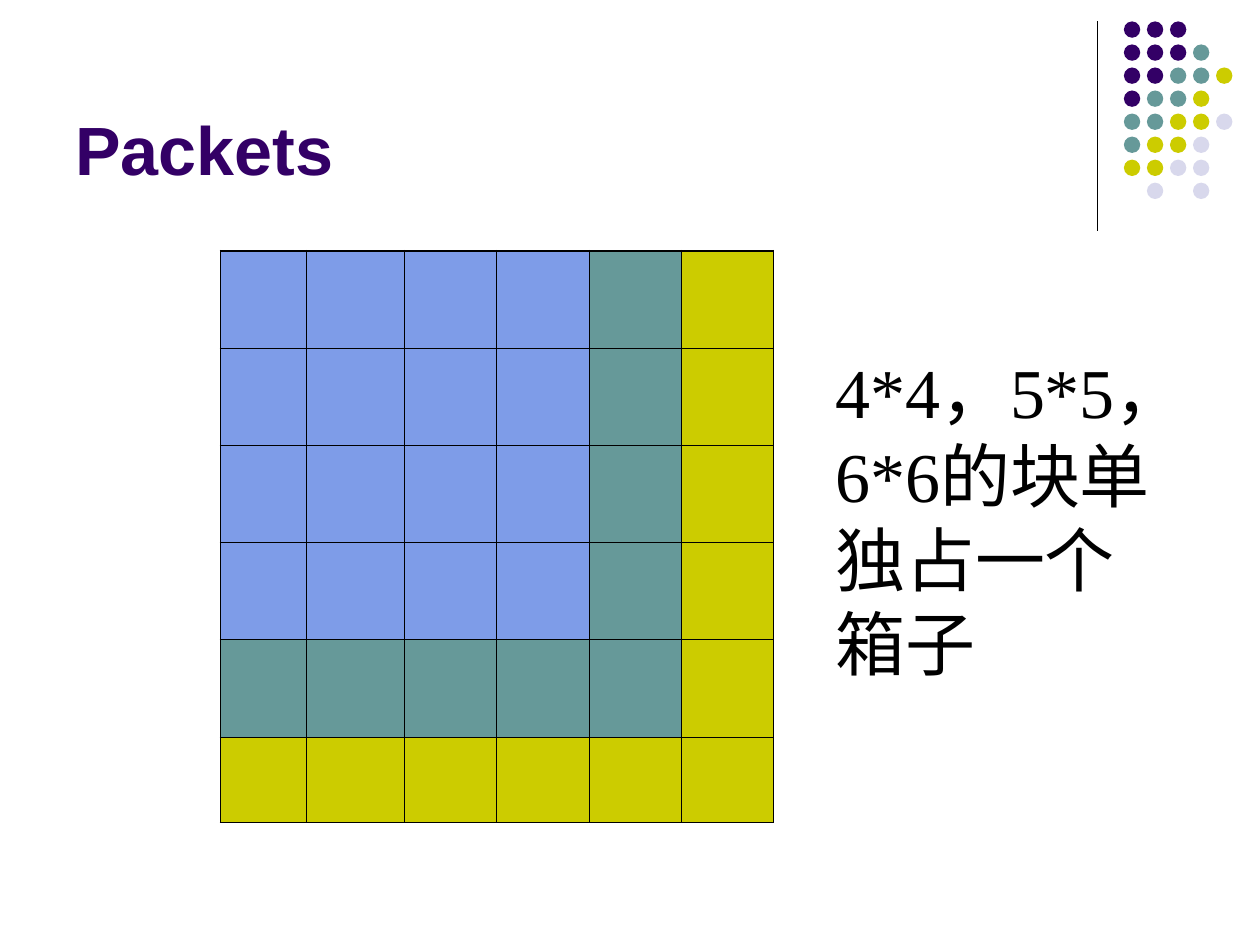
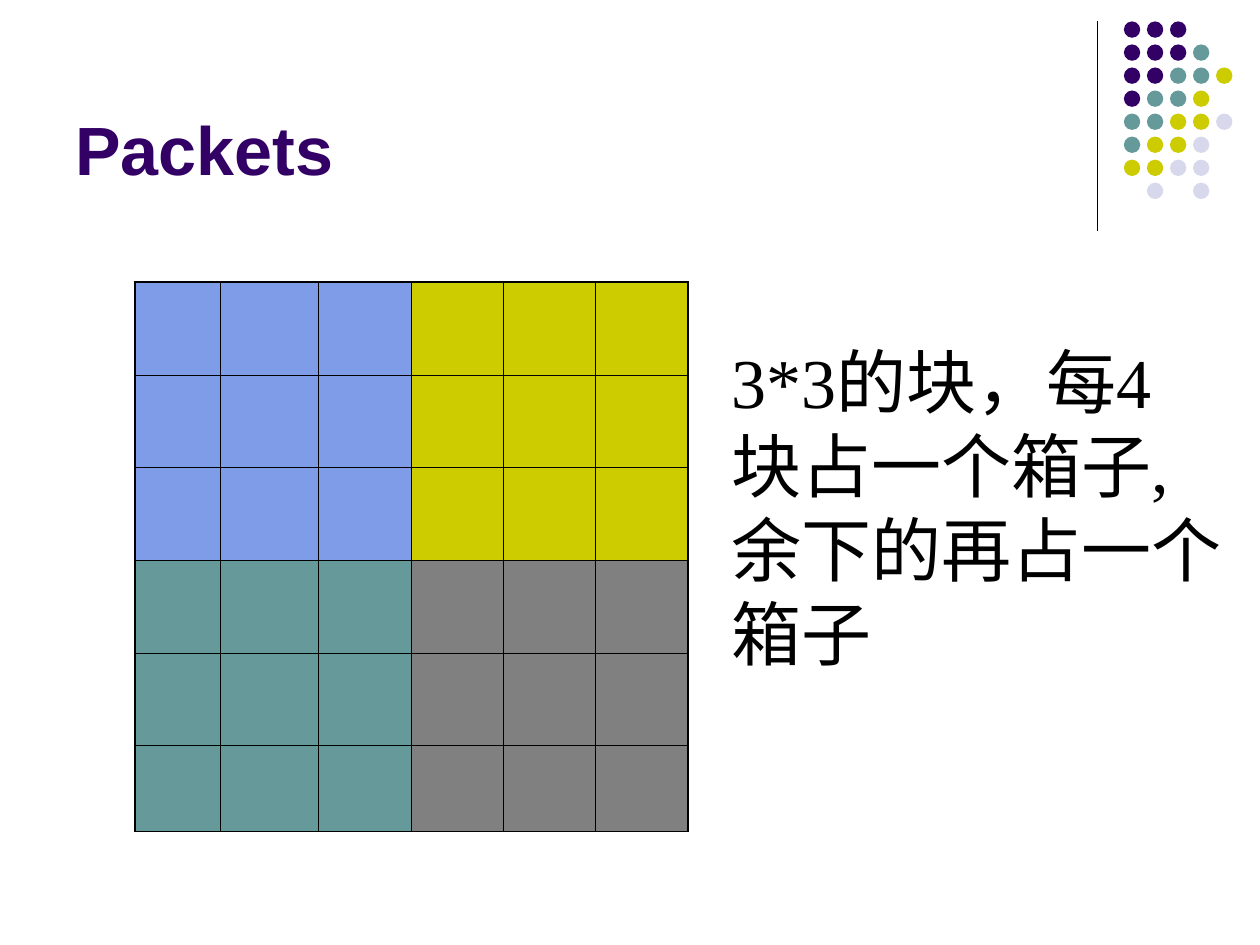
from lxml import etree
from pptx import Presentation
from pptx.dml.color import RGBColor
from pptx.enum.shapes import MSO_CONNECTOR, MSO_SHAPE
from pptx.enum.text import MSO_ANCHOR, MSO_AUTO_SIZE
from pptx.oxml.ns import qn
from pptx.util import Inches, Pt

STRAIGHT = MSO_CONNECTOR.STRAIGHT
ELLIPSE = MSO_SHAPE.OVAL
BOTTOM = MSO_ANCHOR.BOTTOM
GROW = MSO_AUTO_SIZE.SHAPE_TO_FIT_TEXT

BLACK = RGBColor(0x00, 0x00, 0x00)
PURPLE = RGBColor(0x33, 0x00, 0x66)
TEAL = RGBColor(0x66, 0x99, 0x99)
OLIVE = RGBColor(0xCC, 0xCC, 0x00)
LAVENDER = RGBColor(0xD8, 0xD8, 0xEC)
BLUE = RGBColor(0x7E, 0x9C, 0xE8)
GRAY = RGBColor(0x80, 0x80, 0x80)
PALETTE = {"P": PURPLE, "T": TEAL, "O": OLIVE, "L": LAVENDER, "B": BLUE, "G": GRAY}

TITLE_FONT = "Arial"
BODY_FONT = "Times New Roman"

DOT_ROWS = ["PPP", "PPPT", "PPTTO", "PTTO", "TTOOL", "TOOL", "OOLL", " L L"]
DOT_SIZE = 0.13
DOT_PITCH = 1.28 / 7

COLUMN_WIDTHS = [0.68, 0.78] + [2.93 / 4] * 4
THIN, THICK = 0.45, 1.08


def write_lines(frame, lines, font_name, size, color, bold=False):
    for index, line in enumerate(lines):
        para = frame.paragraphs[0] if index == 0 else frame.add_paragraph()
        span = para.add_run()
        span.text = line
        span.font.name = font_name
        span.font.size = Pt(size)
        span.font.bold = bold
        span.font.color.rgb = color


def add_dots(page, left, top):
    group = page.shapes.add_group_shape()
    for row, codes in enumerate(DOT_ROWS):
        for column, code in enumerate(codes):
            if code == " ":
                continue
            dot = group.shapes.add_shape(
                ELLIPSE,
                Inches(left + column * DOT_PITCH), Inches(top + row * DOT_PITCH),
                Inches(DOT_SIZE), Inches(DOT_SIZE))
            dot.shadow.inherit = False
            dot.fill.solid()
            dot.fill.fore_color.rgb = PALETTE[code]
            dot.line.fill.background()


def add_corner(page, left, top, height):
    """Vertical rule with the field of dots to its right."""
    rule = page.shapes.add_connector(
        STRAIGHT, Inches(left), Inches(top), Inches(left), Inches(top + height))
    rule.line.color.rgb = BLACK
    rule.line.width = Pt(0.75)
    etree.SubElement(rule._element.spPr, qn("a:effectLst"))
    add_dots(page, left + 0.21, top)


def add_title(page, text, left, top, width, height):
    box = page.shapes.add_textbox(
        Inches(left), Inches(top), Inches(width), Inches(height))
    box.text_frame.word_wrap = True
    box.text_frame.vertical_anchor = BOTTOM
    write_lines(box.text_frame, [text], TITLE_FONT, 39, PURPLE, bold=True)


def add_border(cell, side, width):
    line = etree.SubElement(
        cell._tc.get_or_add_tcPr(), qn(f"a:ln{side}"), w=str(Pt(width)))
    fill = etree.SubElement(line, qn("a:solidFill"))
    etree.SubElement(fill, qn("a:srgbClr"), val=str(BLACK))


def add_packing_grid(page, left, top, row_heights, color_rows):
    """Box of unit squares, coloured by the packet that covers each one."""
    rows, columns = len(row_heights), len(COLUMN_WIDTHS)
    frame = page.shapes.add_table(
        rows, columns, Inches(left), Inches(top),
        Inches(sum(COLUMN_WIDTHS)), Inches(sum(row_heights)))
    table = frame.table
    table.first_row = table.horz_banding = False
    for column, width in enumerate(COLUMN_WIDTHS):
        table.columns[column].width = Inches(width)
    for row, height in enumerate(row_heights):
        table.rows[row].height = Inches(height)
        for column, code in enumerate(color_rows[row]):
            cell = table.cell(row, column)
            outer_sides = {"L": column == 0, "R": column == columns - 1,
                           "T": row == 0, "B": row == rows - 1}
            for side, is_outer in outer_sides.items():
                add_border(cell, side, THICK if is_outer else THIN)
            cell.fill.solid()
            cell.fill.fore_color.rgb = PALETTE[code]


def add_explanation(page, lines, left, top, width, height):
    box = page.shapes.add_textbox(
        Inches(left), Inches(top), Inches(width), Inches(height))
    box.text_frame.word_wrap = True
    box.text_frame.auto_size = GROW
    box.text_frame.margin_right = Inches(0.02)
    write_lines(box.text_frame, lines, BODY_FONT, 40, BLACK)


def add_packets_page(deck):
    page = deck.slides.add_slide(deck.slide_layouts[6])
    add_corner(page, 8.71, 0.17, 1.66)
    add_title(page, "Packets", 0.5, 0.13, 8.25, 1.42)
    return page


def build_large_packets(deck):
    page = add_packets_page(deck)
    add_packing_grid(page, 1.75, 1.99, [3.86 / 5] * 5 + [0.68],
                     ["BBBBTO"] * 4 + ["TTTTTO", "OOOOOO"])
    add_explanation(page, ["4*4，5*5，", "6*6的块单", "独占一个", "箱子"],
                    6.53, 2.72, 3.38, 2.77)


def build_three_by_three_packets(deck):
    page = add_packets_page(deck)
    add_packing_grid(page, 1.07, 2.24, [3.68 / 5] * 5 + [0.68],
                     ["BBBOOO"] * 3 + ["TTTGGG"] * 3)
    add_explanation(page, ["3*3的块，每4", "块占一个箱子,", "余下的再占一个", "箱子"],
                    5.71, 2.64, 4.08, 2.77)


def main():
    deck = Presentation()
    deck.slide_width = Inches(10)
    deck.slide_height = Inches(7.5)
    build_large_packets(deck)
    build_three_by_three_packets(deck)
    deck.save("out.pptx")


if __name__ == "__main__":
    main()
